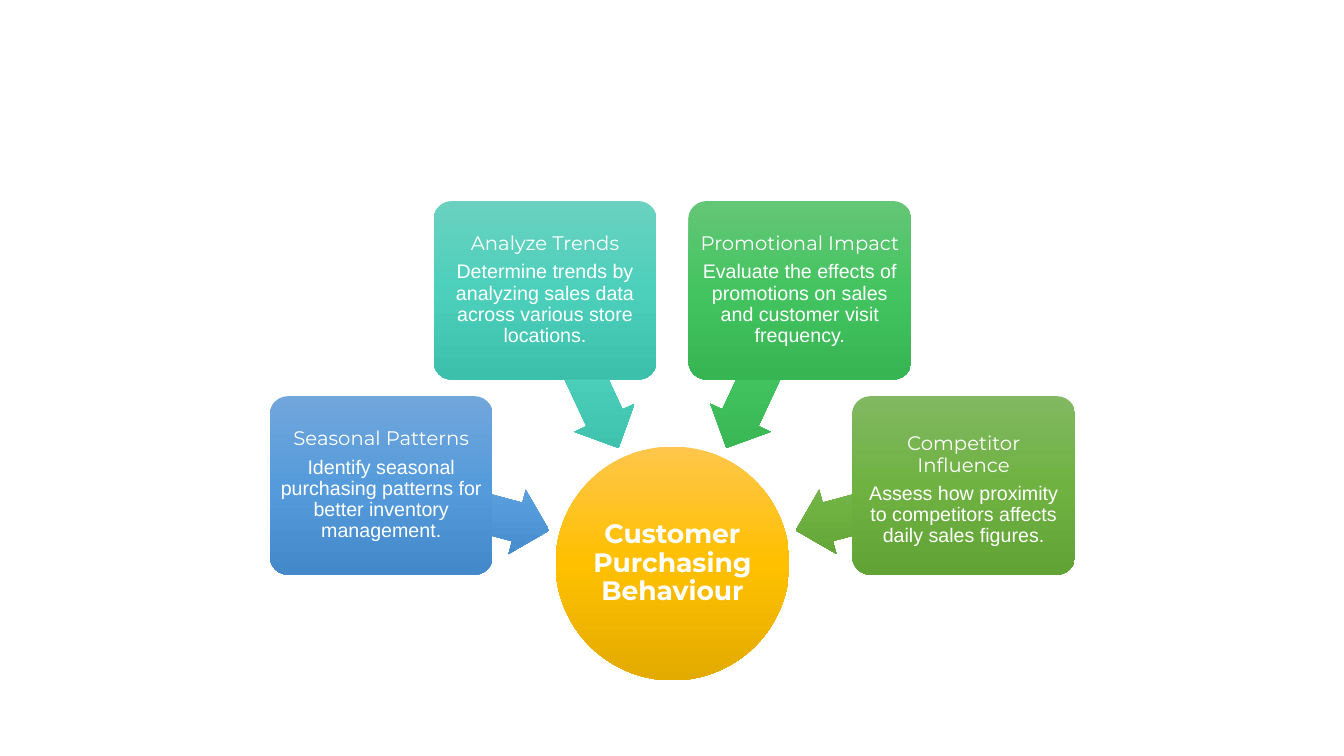
from copy import deepcopy
from math import cos, radians, sin

from pptx import Presentation
from pptx.dml.color import RGBColor
from pptx.enum import shapes, text
from pptx.oxml.ns import qn
from pptx.util import Inches, Pt

WHITE = RGBColor(0xFF, 0xFF, 0xFF)
# Each gradient runs from top to bottom.
AMBER = (RGBColor(0xFF, 0xC6, 0x4B), RGBColor(0xFF, 0xC0, 0x00), RGBColor(0xE3, 0xAB, 0x00))
BLUE = (RGBColor(0x71, 0xA6, 0xDB), RGBColor(0x55, 0x9B, 0xDB), RGBColor(0x44, 0x8A, 0xCA))
TEAL = (RGBColor(0x6A, 0xD1, 0xC0), RGBColor(0x4C, 0xD0, 0xBC), RGBColor(0x3C, 0xC0, 0xAC))
GREEN = (RGBColor(0x64, 0xC6, 0x77), RGBColor(0x44, 0xC4, 0x60), RGBColor(0x36, 0xB5, 0x52))
OLIVE = (RGBColor(0x81, 0xB8, 0x61), RGBColor(0x6F, 0xB2, 0x42), RGBColor(0x62, 0xA3, 0x36))

HUB_CENTER = (6.67, 5.59)
HUB_SIZE = 2.32
CARD_SIZE = (2.21, 1.77)
ARROW_SIZE = (1.73, 0.66)
CARD_RADIUS = 2.99
ARROW_RADIUS = 2.13

# Angle around the hub, colours, heading, body, extra top inset
FACTORS = [
    (195, BLUE, "Seasonal Patterns",
     "Identify seasonal purchasing patterns for better inventory management.", 0),
    (245, TEAL, "Analyze Trends",
     "Determine trends by analyzing sales data across various store locations.", 0),
    (295, GREEN, "Promotional Impact",
     "Evaluate the effects of promotions on sales and customer visit frequency.", 0),
    (345, OLIVE, "Competitor Influence",
     "Assess how proximity to competitors affects daily sales figures.", 0.1),
]


def point_around(center, radius, angle):
    x, y = center
    return x + radius * cos(radians(angle)), y + radius * sin(radians(angle))


def fill_gradient(shape, colors):
    """Fill with three even stops that stay vertical when the shape is rotated."""
    shape.fill.gradient()
    shape.fill.gradient_angle = 270
    gradient = shape._element.spPr.find(qn("a:gradFill"))
    gradient.set("rotWithShape", "0")
    stops = gradient.find(qn("a:gsLst"))
    stops.insert(1, deepcopy(stops[0]))
    for stop, color, position in zip(shape.fill.gradient_stops, colors, (0, 0.5, 1)):
        stop.color.rgb = color
        stop.position = position


def add_centered(slide, kind, center, size, colors):
    (x, y), (width, height) = center, size
    shape = slide.shapes.add_shape(kind, Inches(x - width / 2), Inches(y - height / 2),
                                   Inches(width), Inches(height))
    shape.shadow.inherit = False
    shape.line.fill.background()
    fill_gradient(shape, colors)
    return shape


def write_paragraphs(shape, lines, size, fonts, inset, bold=False, drop=0):
    frame = shape.text_frame
    frame.word_wrap = True
    frame.vertical_anchor = text.MSO_ANCHOR.MIDDLE
    frame.margin_left = frame.margin_right = frame.margin_bottom = Inches(inset)
    frame.margin_top = Inches(inset + drop)
    frame.text = "\n".join(lines)
    for paragraph, font_name in zip(frame.paragraphs, fonts):
        paragraph.alignment = text.PP_ALIGN.CENTER
        paragraph.line_spacing = 0.9
        paragraph.space_after = Pt(5)
        font = paragraph.runs[0].font
        font.name = font_name
        font.size = Pt(size)
        font.bold = bold
        font.color.rgb = WHITE


def add_hub(slide, center):
    hub = add_centered(slide, shapes.MSO_SHAPE.OVAL, center, (HUB_SIZE, HUB_SIZE), AMBER)
    write_paragraphs(hub, ["Customer Purchasing Behaviour"], 19, ["Montserrat"], 0.01, bold=True)


def add_factor(slide, hub_center, angle, colors, heading, body, drop):
    """Place a card on the arc and an arrow behind it that points at the hub."""
    arrow = add_centered(slide, shapes.MSO_SHAPE.LEFT_ARROW,
                         point_around(hub_center, ARROW_RADIUS, angle), ARROW_SIZE, colors)
    arrow.rotation = angle
    arrow.adjustments[0] = 0.6
    arrow.adjustments[1] = 0.5
    card = add_centered(slide, shapes.MSO_SHAPE.ROUNDED_RECTANGLE,
                        point_around(hub_center, CARD_RADIUS, angle), CARD_SIZE, colors)
    card.adjustments[0] = 0.1
    write_paragraphs(card, [heading, body], 14, ["Montserrat", "Arial"], 0.03, drop=drop)


def main():
    deck = Presentation()
    deck.slide_width, deck.slide_height = Inches(13.33), Inches(7.5)
    slide = deck.slides.add_slide(deck.slide_layouts[6])
    add_hub(slide, HUB_CENTER)
    for factor in FACTORS:
        add_factor(slide, HUB_CENTER, *factor)
    deck.save("out.pptx")


if __name__ == "__main__":
    main()
